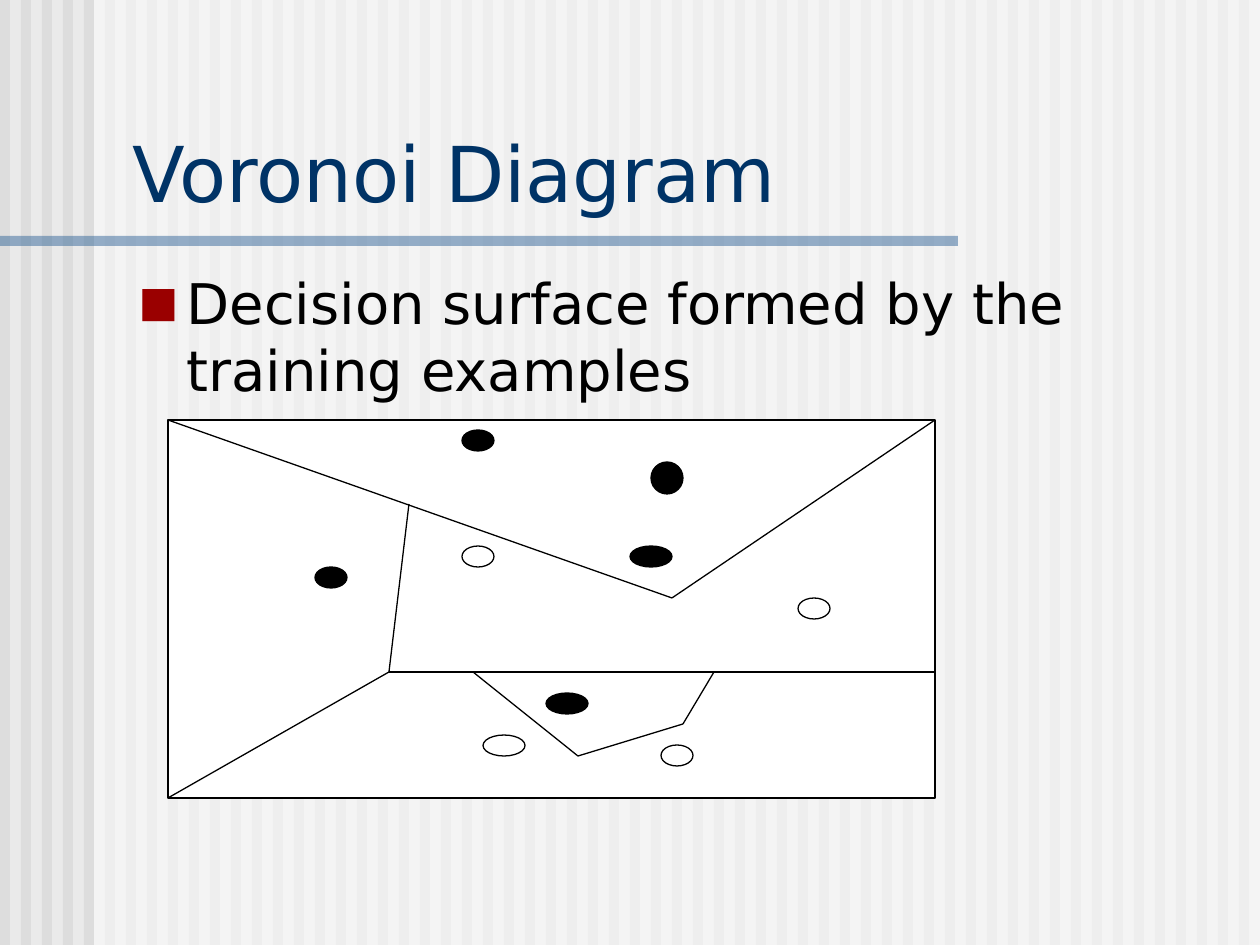
from itertools import pairwise

from lxml import etree
from pptx import Presentation
from pptx import util as u
from pptx.dml.color import RGBColor
from pptx.enum import shapes, text
from pptx.oxml.ns import qn

TITLE = "Voronoi Diagram"
BULLETS = ["Decision surface formed by the training examples"]

THEME = {
    "font": "DejaVu Sans",
    "title_size": 44,
    "body_size": 32,
    "line_width": 0.75,
    "background": "EAEAEA",
    "stripe": "DDDDDD",
    "white": "FFFFFF",
    "black": "000000",
    "rule": "336699",
    "title": "003366",
    "bullet": "9A0000",
}

# Lengths in px: left, top, width, height
SLIDE_SIZE = (1260, 945)
STRIPE_COUNT, STRIPE_PITCH, STRIPE_WIDTH = 60, 21, 10
VEIL = (94, 0, 1166, 945)
RULE = (0, 236, 958, 10)
TITLE_BOX = (120, 118, 1125, 106)
BODY_BOX = (126, 262, 1118, 577)
FRAME = (168, 420, 767, 378)

EXAMPLES = {
    "black": [
        (315, 567, 32, 21),
        (462, 430, 32, 21),
        (651, 462, 32, 32),
        (630, 546, 42, 21),
        (546, 693, 42, 21),
    ],
    "white": [
        (483, 735, 42, 21),
        (798, 598, 32, 21),
        (462, 546, 32, 21),
        (661, 745, 32, 21),
    ],
}

# Each boundary is a chain of points joined by straight lines
BOUNDARIES = [
    [(168, 420), (672, 598), (935, 420)],
    [(409, 504), (389, 672), (168, 798)],
    [(389, 672), (935, 672)],
    [(473, 672), (578, 756), (683, 724), (714, 672)],
]


def px(*lengths):
    return [u.Emu(round(length * 914400 / 126)) for length in lengths]


def color(name):
    return RGBColor.from_string(THEME[name])


def add_filled(parent, preset, box, fill, opacity=None, outlined=False):
    shape = parent.shapes.add_shape(preset, *px(*box))
    shape.shadow.inherit = False
    shape.fill.solid()
    shape.fill.fore_color.rgb = color(fill)
    if opacity is not None:
        fill_color = shape.element.spPr.find(".//" + qn("a:srgbClr"))
        etree.SubElement(fill_color, qn("a:alpha"), val=str(opacity * 1000))
    if outlined:
        shape.line.color.rgb = color("black")
        shape.line.width = u.Pt(THEME["line_width"])
    else:
        shape.line.fill.background()


def add_boundary(slide, start, end):
    connector = slide.shapes.add_connector(
        shapes.MSO_CONNECTOR.STRAIGHT, *px(*start, *end))
    connector.line.color.rgb = color("black")
    connector.line.width = u.Pt(THEME["line_width"])
    etree.SubElement(connector.element.spPr, qn("a:effectLst"))


def place(placeholder, box, anchor):
    """Position a placeholder and bring it to the front."""
    placeholder.left, placeholder.top, placeholder.width, placeholder.height = px(*box)
    frame = placeholder.text_frame
    frame.word_wrap = True
    frame.auto_size = text.MSO_AUTO_SIZE.NONE
    frame.vertical_anchor = anchor
    placeholder.element.getparent().append(placeholder.element)
    return frame


def add_run(paragraph, words, size, name):
    paragraph.alignment = text.PP_ALIGN.LEFT
    run = paragraph.add_run()
    run.text = words
    run.font.name = THEME["font"]
    run.font.size = u.Pt(THEME[size])
    run.font.color.rgb = color(name)


def add_bullet(paragraph):
    properties = paragraph._p.get_or_add_pPr()
    indent = px(48)[0]
    properties.set("marL", str(indent))
    properties.set("indent", str(-indent))
    bullet_color = etree.SubElement(properties, qn("a:buClr"))
    etree.SubElement(bullet_color, qn("a:srgbClr"), val=THEME["bullet"])
    etree.SubElement(properties, qn("a:buSzPct"), val="75000")
    etree.SubElement(properties, qn("a:buFont"), typeface=THEME["font"])
    etree.SubElement(properties, qn("a:buChar"), char="■")


def add_backdrop(slide):
    slide.background.fill.solid()
    slide.background.fill.fore_color.rgb = color("background")
    group = slide.shapes.add_group_shape()
    rectangle = shapes.MSO_SHAPE.RECTANGLE
    for index in range(STRIPE_COUNT):
        stripe = (index * STRIPE_PITCH, 0, STRIPE_WIDTH, SLIDE_SIZE[1])
        add_filled(group, rectangle, stripe, "stripe")
    add_filled(group, rectangle, VEIL, "white", opacity=50)
    add_filled(group, rectangle, RULE, "rule", opacity=50)


def add_text(slide):
    title = place(slide.shapes.title, TITLE_BOX, text.MSO_ANCHOR.BOTTOM)
    add_run(title.paragraphs[0], TITLE, "title_size", "title")
    body = place(slide.placeholders[1], BODY_BOX, text.MSO_ANCHOR.TOP)
    for index, words in enumerate(BULLETS):
        paragraph = body.add_paragraph() if index else body.paragraphs[0]
        paragraph.space_before = u.Pt(8)
        add_bullet(paragraph)
        add_run(paragraph, words, "body_size", "black")


def add_diagram(slide):
    for fill, boxes in EXAMPLES.items():
        for box in boxes:
            add_filled(slide, shapes.MSO_SHAPE.OVAL, box, fill, outlined=True)
    for points in BOUNDARIES:
        for start, end in pairwise(points):
            add_boundary(slide, start, end)


def main():
    presentation = Presentation()
    presentation.slide_width, presentation.slide_height = px(*SLIDE_SIZE)
    slide = presentation.slides.add_slide(presentation.slide_layouts[1])
    add_backdrop(slide)
    add_filled(slide, shapes.MSO_SHAPE.RECTANGLE, FRAME, "white", outlined=True)
    add_text(slide)
    add_diagram(slide)
    presentation.save("out.pptx")


if __name__ == "__main__":
    main()
